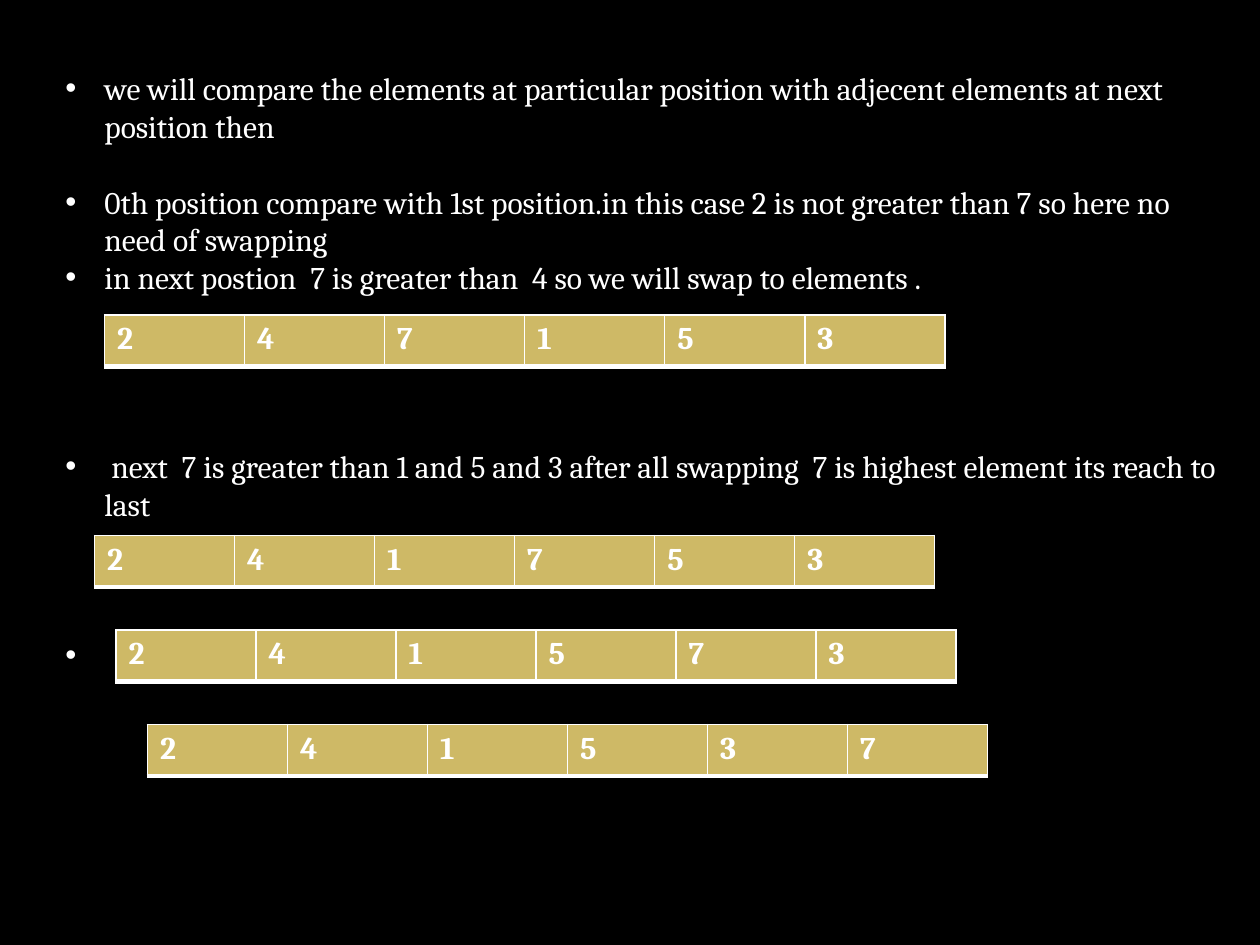
from dataclasses import dataclass

from lxml import etree
from pptx import Presentation
from pptx import util as u
from pptx.dml.color import RGBColor
from pptx.oxml import ns
from pptx.slide import Slide


def color(value):
    return RGBColor.from_string(value)


@dataclass
class Deck:
    s: Slide
    font: str = "Cambria"
    size: float = 18
    line: float = 21.6
    ink: str = "FFFFFF"
    gold: str = "CEB966"
    back: str = "000000"

    def background(self):
        fill = self.s.background.fill
        fill.solid()
        fill.fore_color.rgb = color(self.back)

    def run(self, p, value, bold=False):
        r = p.add_run()
        r.text = value
        fmt = {"name": self.font, "size": u.Pt(self.size), "bold": bold}
        for key, val in fmt.items():
            setattr(r.font, key, val)
        r.font.color.rgb = color(self.ink)

    def bullets(self, items, left, top, width, height):
        box = self.s.shapes.add_textbox(
            u.Inches(left), u.Inches(top), u.Inches(width), u.Inches(height))
        tf = box.text_frame
        tf.word_wrap = True
        for i, (gap, value) in enumerate(items):
            p = tf.add_paragraph() if i else tf.paragraphs[0]
            p.space_before = u.Pt(gap * self.line)
            self.run(p, value)
            pPr = p._p.get_or_add_pPr()
            pPr.set("marL", str(u.Inches(0.31)))
            pPr.set("indent", str(u.Inches(-0.31)))
            etree.SubElement(pPr, ns.qn("a:buFont"), typeface="Arial")
            etree.SubElement(pPr, ns.qn("a:buChar"), char="•")

    def border(self, cell, widths):
        tcPr = cell._tc.get_or_add_tcPr()
        for i, (side, width) in enumerate(widths.items()):
            ln = etree.Element(ns.qn(f"a:ln{side}"), w=str(u.Pt(width)))
            fill = etree.SubElement(ln, ns.qn("a:solidFill"))
            etree.SubElement(fill, ns.qn("a:srgbClr"), val=self.ink)
            tcPr.insert(i, ln)

    def array(self, values, left, top, width=6.67, height=0.41):
        frame = self.s.shapes.add_table(
            1, len(values), u.Inches(left), u.Inches(top),
            u.Inches(width), u.Inches(height))
        for cell, value in zip(frame.table.rows[0].cells, values):
            cell.fill.solid()
            cell.fill.fore_color.rgb = color(self.gold)
            self.run(cell.text_frame.paragraphs[0], str(value), bold=True)
            self.border(cell, {"L": 1, "R": 1, "T": 1, "B": 3})


def main():
    prs = Presentation()
    prs.slide_width, prs.slide_height = u.Inches(10), u.Inches(7.5)
    deck = Deck(prs.slides.add_slide(prs.slide_layouts[6]))
    deck.background()
    steps = [
        (0, "we will compare the elements at particular position with "
            "adjecent elements at next position then"),
        (1, "0th position compare with 1st position.in this case 2 is not "
            "greater than 7 so here no need of swapping"),
        (0, "in next postion  7 is greater than  4 so we will swap to "
            "elements ."),
        (4, " next  7 is greater than 1 and 5 and 3 after all swapping  "
            "7 is highest element its reach to last"),
        (3, " "),
    ]
    deck.bullets(steps, 0.42, 0.5, 9.42, 7)
    passes = [
        (0.83, 2.5, [2, 4, 7, 1, 5, 3]),
        (0.75, 4.25, [2, 4, 1, 7, 5, 3]),
        (0.92, 5, [2, 4, 1, 5, 7, 3]),
        (1.17, 5.75, [2, 4, 1, 5, 3, 7]),
    ]
    for left, top, values in passes:
        deck.array(values, left, top)
    prs.save("out.pptx")


if __name__ == "__main__":
    main()
